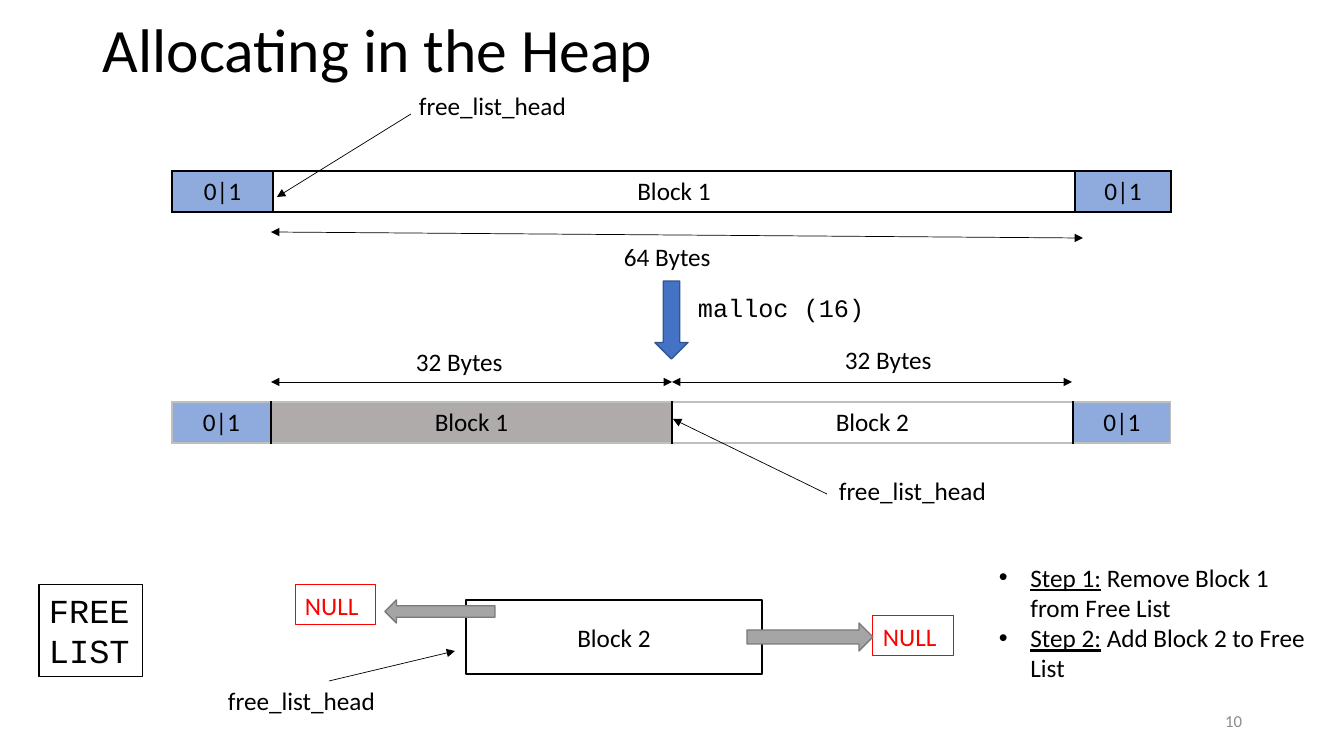
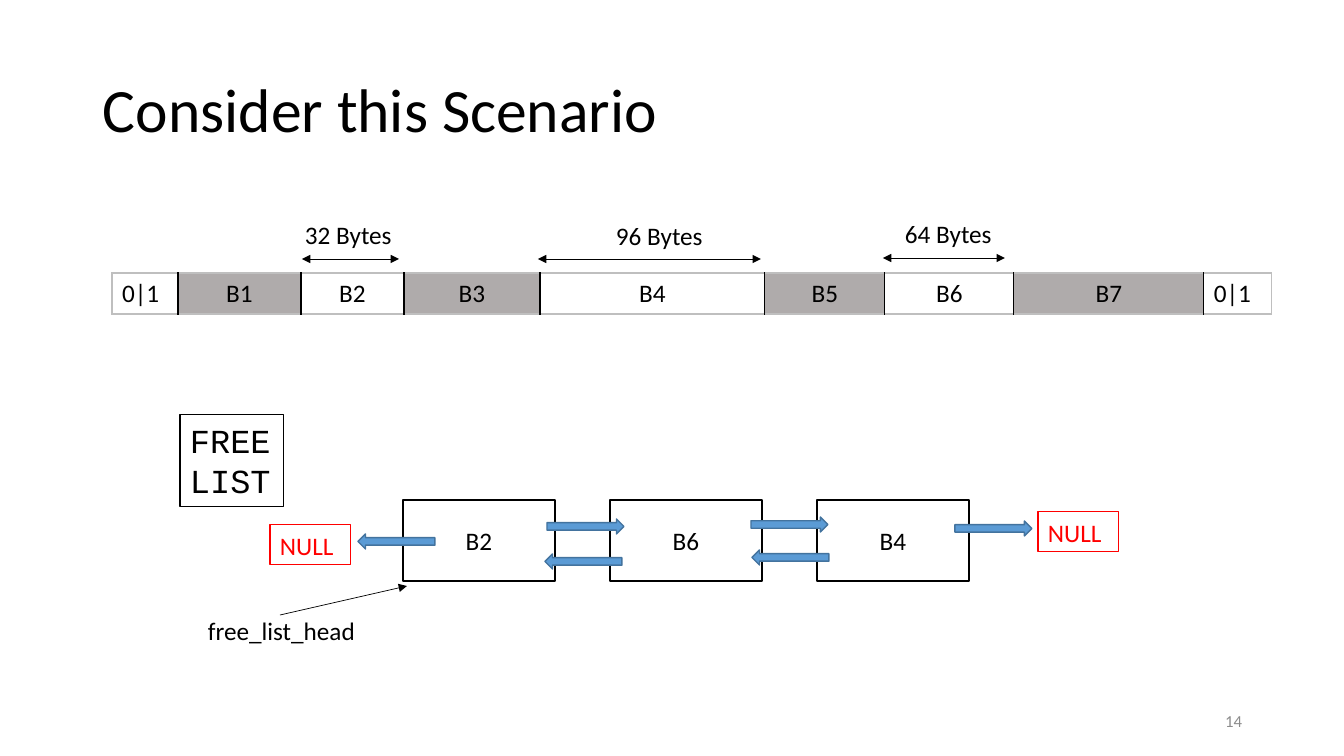
from dataclasses import dataclass

from lxml import etree
from pptx import Presentation, util as u
from pptx.dml.color import RGBColor
from pptx.enum import shapes, text
from pptx.oxml.ns import qn


@dataclass(frozen=True)
class Theme:
    black: str = "000000"
    white: str = "FFFFFF"
    red: str = "FF0000"
    edge: str = "BFBFBF"
    header: str = "8FAADC"
    used: str = "AFABAB"
    muted: str = "8C8C8C"
    sans: str = "Calibri"
    mono: str = "Courier New"
    title: int = 44
    heading: int = 24
    body: int = 18
    small: int = 12


T = Theme()
PX = 12192000 / 1344
SHAPE = shapes.MSO_SHAPE
ALIGN = text.PP_ALIGN
MIDDLE = text.MSO_ANCHOR.MIDDLE

PLAIN = dict(font=T.sans, size=T.body, color=T.black, fill=None, line=None,
             weight=1, align=ALIGN.LEFT, anchor=text.MSO_ANCHOR.TOP, spacing=1.0)
TITLE = dict(size=T.title, anchor=MIDDLE, spacing=0.9)
NUMBER = dict(size=T.small, color=T.muted, align=ALIGN.RIGHT, anchor=MIDDLE)
CODE = dict(font=T.mono)
FREE_LIST = dict(font=T.mono, size=T.heading, line=T.black, weight=0.75)
NULL = dict(color=T.red, line=T.red, weight=0.75)
BLOCK = dict(fill=T.white, line=T.black, align=ALIGN.CENTER, anchor=MIDDLE)
STEP_ARROW = dict(fill="4472C4", line="325491")
GREY_ARROW = dict(fill="A5A5A5", line="7A7A7A")
BLUE_ARROW = dict(fill="5B9BD5", line="43739E")


def box(s, rect, words="", style=PLAIN, kind=None):
    """Add a preset shape, or a text box when the style has no outline."""
    f = {**PLAIN, **style}
    rect = [u.Emu(round(v * PX)) for v in rect]
    if f["line"]:
        sp = s.shapes.add_shape(kind or SHAPE.RECTANGLE, *rect)
        sp.shadow.inherit = False
        sp.line.color.rgb = RGBColor.from_string(f["line"])
        sp.line.width = u.Pt(f["weight"])
        if f["fill"]:
            sp.fill.solid()
            sp.fill.fore_color.rgb = RGBColor.from_string(f["fill"])
        else:
            sp.fill.background()
    else:
        sp = s.shapes.add_textbox(*rect)
    tf = sp.text_frame
    tf.word_wrap = True
    tf.vertical_anchor = f["anchor"]
    if words:
        p = tf.paragraphs[0]
        p.alignment, p.line_spacing = f["align"], f["spacing"]
        r = p.add_run()
        r.text = words
        r.font.name, r.font.size = f["font"], u.Pt(f["size"])
        r.font.color.rgb = RGBColor.from_string(f["color"])
    return sp


def line(s, ends, heads=("tailEnd",)):
    """Add a thin line with triangle heads; ends are x1, y1, x2, y2."""
    cx = s.shapes.add_connector(shapes.MSO_CONNECTOR.STRAIGHT,
                                *[u.Emu(round(v * PX)) for v in ends])
    cx.line.color.rgb = RGBColor.from_string(T.black)
    cx.line.width = u.Pt(0.5)
    for head in heads:
        etree.SubElement(cx.line._get_or_add_ln(), qn("a:" + head), type="triangle")
    etree.SubElement(cx._element.spPr, qn("a:effectLst"))


BOTH = ("headEnd", "tailEnd")

prs = Presentation()
prs.slide_width, prs.slide_height = u.Emu(round(1344 * PX)), u.Emu(round(756 * PX))

# Titles, slide numbers and memory bars
# A bar is left, top, outer edge colour, end alignment, cells (text, width, fill)
heap_before = (172, 171, T.black, ALIGN.CENTER, [
    ("0|1", 101, T.header), ("Block 1", 802, T.white), ("0|1", 96, T.header)])
heap_after = (172, 402, T.edge, ALIGN.CENTER, [
    ("0|1", 99, T.header), ("Block 1", 401, T.used), ("Block 2", 401, None),
    ("0|1", 98, T.header)])
block_widths = [123, 103, 136, 225, 120, 129, 190]
scenario = (112, 273, T.edge, ALIGN.LEFT, [
    ("0|1", 66, None),
    *[(f"B{i}", w, T.used if i % 2 else None) for i, w in enumerate(block_widths, 1)],
    ("0|1", 68, None)])

slides = []
for title, top, height, number, bars in [
        ("Allocating in the Heap", 2, 102, "10", [heap_before, heap_after]),
        ("Consider this Scenario", 40, 146, "14", [scenario])]:
    s = prs.slides.add_slide(prs.slide_layouts[6])
    slides.append(s)
    box(s, (93, top, 1159, height), title, TITLE)
    box(s, (950, 701, 302, 40), number, NUMBER)
    for x, y, edge, end_align, cells in bars:
        size = (x, y, sum(w for _, w, _ in cells), 41)
        tb = s.shapes.add_table(1, len(cells), *[u.Emu(round(v * PX)) for v in size]).table
        tb.first_row = tb.horz_banding = False
        last = len(cells) - 1
        for i, (words, w, fill) in enumerate(cells):
            tb.columns[i].width = u.Emu(round(w * PX))
            cell = tb.cell(0, i)
            cell.vertical_anchor = MIDDLE
            borders = dict(lnL=edge if i == 0 else T.black,
                           lnR=edge if i == last else T.black, lnT=edge, lnB=edge)
            for side, color in borders.items():
                ln = etree.SubElement(cell._tc.get_or_add_tcPr(), qn("a:" + side), w="12700")
                solid = etree.SubElement(ln, qn("a:solidFill"))
                etree.SubElement(solid, qn("a:srgbClr"), val=color)
            if fill:
                cell.fill.solid()
                cell.fill.fore_color.rgb = RGBColor.from_string(fill)
            else:
                cell.fill.background()
            p = cell.text_frame.paragraphs[0]
            p.alignment = end_align if i in (0, last) else ALIGN.CENTER
            r = p.add_run()
            r.text = words
            r.font.name, r.font.size = T.sans, u.Pt(T.body)
            r.font.color.rgb = RGBColor.from_string(T.black)

# Slide 1: splitting the heap
s = slides[0]
for rect, words, style in [
        ((614, 236, 117, 40), "64 Bytes", PLAIN),
        ((409, 85, 178, 40), "free_list_head", PLAIN),
        ((688, 287, 202, 40), "malloc (16)", CODE),
        ((406, 341, 130, 40), "32 Bytes", PLAIN),
        ((835, 339, 130, 40), "32 Bytes", PLAIN),
        ((829, 470, 178, 40), "free_list_head", PLAIN),
        ((218, 680, 201, 40), "free_list_head", PLAIN),
        ((39, 585, 104, 92), "FREE LIST", FREE_LIST),
        ((466, 600, 296, 74), "Block 2", BLOCK),
        ((873, 616, 81, 40), "NULL", NULL),
        ((295, 585, 81, 40), "NULL", NULL)]:
    box(s, rect, words, style)
box(s, (655, 281, 33, 78), style=STEP_ARROW, kind=SHAPE.DOWN_ARROW)
box(s, (747, 623, 126, 28), style=GREY_ARROW, kind=SHAPE.RIGHT_ARROW)
box(s, (385, 600, 110, 23), style=GREY_ARROW, kind=SHAPE.LEFT_ARROW)
for ends in [(271, 232, 1083, 238), (271, 382, 672, 382), (672, 382, 1072, 382)]:
    line(s, ends, BOTH)
for ends in [(411, 114, 277, 197), (827, 494, 673, 419), (329, 681, 455, 651)]:
    line(s, ends)

tf = box(s, (989, 557, 337, 132)).text_frame
for i, (step, action) in enumerate([("Step 1:", " Remove Block 1 from Free List"),
                                    ("Step 2:", " Add Block 2 to Free List")]):
    p = tf.add_paragraph() if i else tf.paragraphs[0]
    pPr = p._p.get_or_add_pPr()
    pPr.set("marL", "285750")
    pPr.set("indent", "-285750")
    etree.SubElement(pPr, qn("a:buFont"), typeface="Arial")
    etree.SubElement(pPr, qn("a:buChar"), char="•")
    for words, underline in [(step, True), (action, False)]:
        r = p.add_run()
        r.text = words
        for name, value in dict(name=T.sans, size=u.Pt(T.body), underline=underline).items():
            setattr(r.font, name, value)
        r.font.color.rgb = RGBColor.from_string(T.black)

# Slide 2: free list of three blocks
s = slides[1]
for rect, words, style in [
        ((295, 214, 110, 40), "32 Bytes", PLAIN),
        ((606, 215, 110, 40), "96 Bytes", PLAIN),
        ((895, 213, 110, 40), "64 Bytes", PLAIN),
        ((198, 610, 174, 40), "free_list_head", PLAIN),
        ((180, 415, 104, 92), "FREE LIST", FREE_LIST),
        ((1038, 512, 81, 40), "NULL", NULL),
        ((270, 525, 81, 40), "NULL", NULL)]:
    box(s, rect, words, style)
for i, words in enumerate(["B2", "B6", "B4"]):
    box(s, (403 + 207 * i, 500, 152, 81), words, BLOCK)
for kind, corners in [(SHAPE.RIGHT_ARROW, [(547, 519), (751, 517), (955, 521)]),
                      (SHAPE.LEFT_ARROW, [(358, 534), (545, 554), (752, 550)])]:
    for x, y in corners:
        box(s, (x, y, 77, 15), style=BLUE_ARROW, kind=kind)
for x1, x2, y in [(302, 399, 259), (538, 761, 259), (883, 1005, 258)]:
    line(s, (x1, y, x2, y), BOTH)
line(s, (280, 615, 407, 586))

prs.save("out.pptx")
